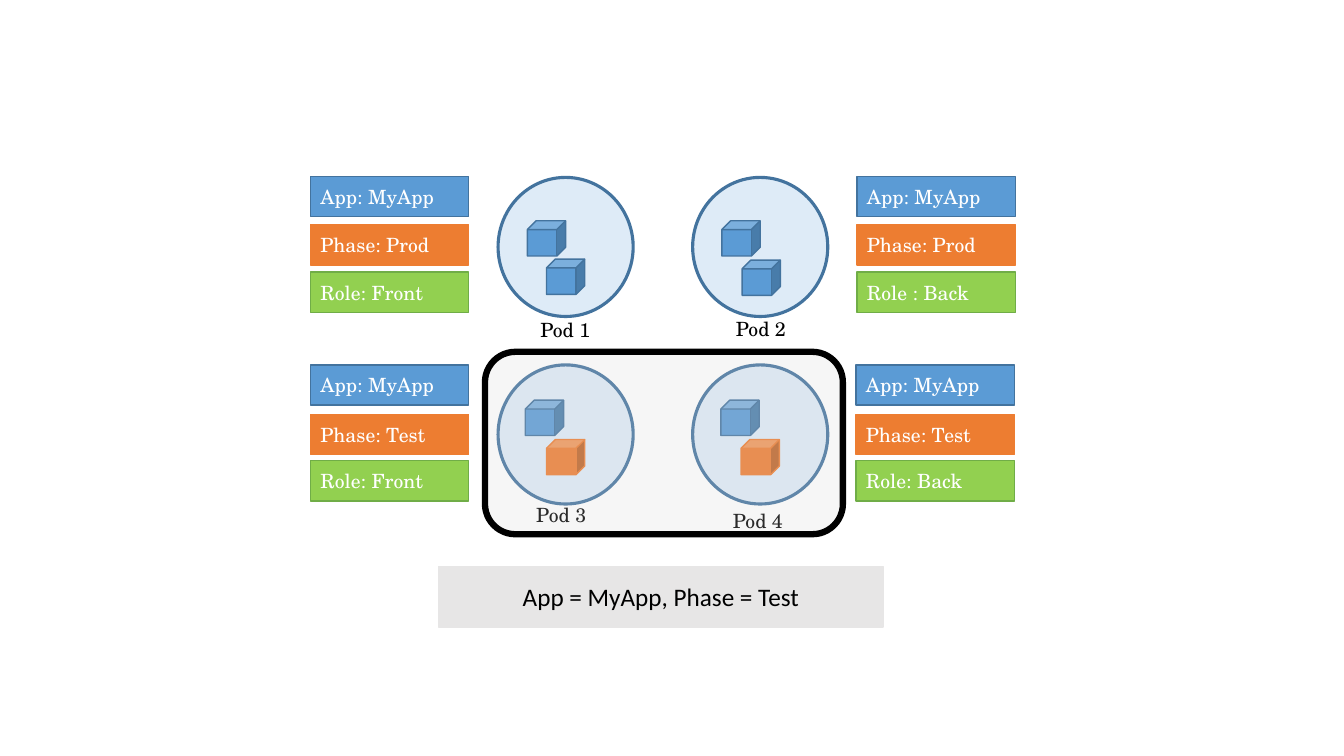
from lxml.etree import SubElement
from pptx import Presentation
from pptx.dml.color import RGBColor
from pptx.enum.shapes import MSO_SHAPE
from pptx.enum.text import MSO_ANCHOR, PP_ALIGN
from pptx.oxml.ns import qn
from pptx.util import Inches, Pt

BLUE, DARK_BLUE, ORANGE = "5B9BD5", "43739E", "ED7D31"


def add_block(kind, box, fill, line, width=1):
    block = slide.shapes.add_shape(kind, *[Inches(v) for v in box])
    block.shadow.inherit = False
    block.fill.solid()
    block.fill.fore_color.rgb = RGBColor.from_string(fill)
    block.line.color.rgb = RGBColor.from_string(line)
    block.line.width = Pt(width)
    return block


def write(holder, text, size=14, font="TeX Gyre Schola", color="000000",
          align=PP_ALIGN.LEFT, anchor=MSO_ANCHOR.MIDDLE):
    frame = holder.text_frame
    frame.word_wrap = True
    frame.vertical_anchor = anchor
    paragraph = frame.paragraphs[0]
    paragraph.alignment = align
    run = paragraph.add_run()
    run.text = text
    run.font.size = Pt(size)
    run.font.name = font
    run.font.color.rgb = RGBColor.from_string(color)


prs = Presentation()
prs.slide_width, prs.slide_height = Inches(13.33), Inches(7.5)
slide = prs.slides.add_slide(prs.slide_layouts[6])

# Pods: name, circle corner, name corner, two containers, second container's colours
pods = [
    ("Pod 1", (4.94, 1.76), (5.26, 3.10), (5.23, 2.19), (5.42, 2.57), BLUE, DARK_BLUE),
    ("Pod 2", (6.87, 1.76), (7.20, 3.09), (7.16, 2.19), (7.36, 2.58), BLUE, DARK_BLUE),
    ("Pod 3", (4.94, 3.62), (5.22, 4.94), (5.21, 3.97), (5.42, 4.36), ORANGE, ORANGE),
    ("Pod 4", (6.87, 3.62), (7.17, 5.00), (7.15, 3.97), (7.35, 4.36), ORANGE, ORANGE),
]
for name, circle, caption, first, second, fill, line in pods:
    add_block(MSO_SHAPE.OVAL, (*circle, 1.34, 1.38), "DEEBF7", DARK_BLUE, 2.25)
    add_block(MSO_SHAPE.CUBE, (*first, 0.38, 0.35), BLUE, DARK_BLUE)
    add_block(MSO_SHAPE.CUBE, (*second, 0.38, 0.35), fill, line)
    pod_name = slide.shapes.add_textbox(*[Inches(v) for v in (*caption, 0.78, 0.34)])
    write(pod_name, name, anchor=MSO_ANCHOR.TOP)

# Labels beside each pod
label_colors = [(BLUE, DARK_BLUE), (ORANGE, ORANGE), ("92D050", "70AD47")]
prod_tops, test_tops = (1.75, 2.23, 2.70), (3.62, 4.11, 4.57)
label_stacks = [
    (3.08, prod_tops, "Phase: Prod", "Role: Front"),
    (8.50, prod_tops, "Phase: Prod", "Role : Back"),
    (3.08, test_tops, "Phase: Test", "Role: Front"),
    (8.49, test_tops, "Phase: Test", "Role: Back"),
]
for left, tops, phase, role in label_stacks:
    for top, text, (fill, line) in zip(tops, ("App: MyApp", phase, role), label_colors):
        label = add_block(MSO_SHAPE.RECTANGLE, (left, top, 1.57, 0.4), fill, line)
        write(label, text, color="FFFFFF")

# Selector expression
selector = add_block(MSO_SHAPE.RECTANGLE, (4.35, 5.62, 4.41, 0.6), "E7E6E6", "E7E6E6")
write(selector, "App = MyApp, Phase = Test", size=18, font="Calibri",
      align=PP_ALIGN.CENTER)

# Translucent frame around the selected pods
selection = add_block(MSO_SHAPE.ROUNDED_RECTANGLE, (4.81, 3.49, 3.55, 1.81),
                      "D6D6D6", "000000", 4.5)
fill_color = selection.element.spPr.find(qn("a:solidFill")).find(qn("a:srgbClr"))
SubElement(fill_color, qn("a:alpha")).set("val", "20000")

prs.save("out.pptx")
